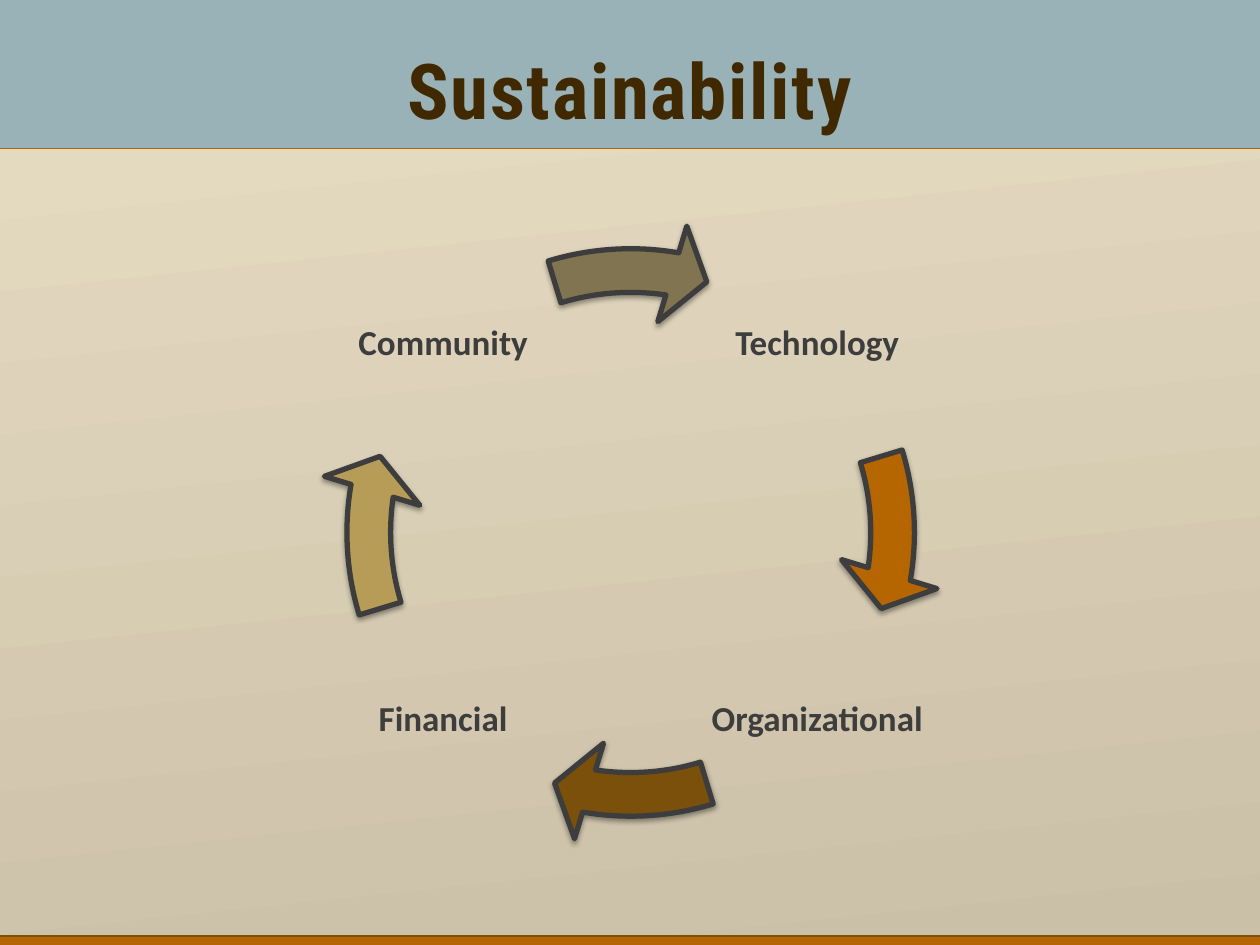
from lxml import etree
from pptx import Presentation
from pptx.dml.color import RGBColor
from pptx.enum.shapes import MSO_CONNECTOR as CONN, MSO_SHAPE as SHAPE
from pptx.enum.text import MSO_ANCHOR as ANCHOR, MSO_AUTO_SIZE as FIT, PP_ALIGN as ALIGN
from pptx.oxml.ns import qn
from pptx.util import Cm, Pt

BLUE = RGBColor(0x99, 0xB2, 0xB7)
CREAM = RGBColor(0xE4, 0xDA, 0xC0)
SAND = RGBColor(0xCA, 0xBF, 0xA7)
ORANGE = RGBColor(0xB6, 0x66, 0x00)
RULE = RGBColor(0xB2, 0x64, 0x00)
BROWN = RGBColor(0x7A, 0x50, 0x0A)
GOLD = RGBColor(0xB6, 0x9C, 0x56)
OLIVE = RGBColor(0x80, 0x75, 0x50)
DARK = RGBColor(0x3D, 0x3D, 0x3D)
TITLE = RGBColor(0x40, 0x29, 0x01)


def add_rule(s, y, color):
    ln = s.shapes.add_connector(CONN.STRAIGHT, 0, y, W, y)
    ln.line.color.rgb = color
    ln.line.width = Pt(0.75)
    etree.SubElement(ln._element.spPr, qn("a:effectLst"))


def add_text(tf, text, font, size, color):
    tf.word_wrap = True
    tf.auto_size = FIT.NONE
    tf.vertical_anchor = ANCHOR.MIDDLE
    p = tf.paragraphs[0]
    p.alignment = ALIGN.CENTER
    r = p.add_run()
    r.text = text
    r.font.name = font
    r.font.size = Pt(size)
    r.font.bold = True
    r.font.color.rgb = color
    return p, r


prs = Presentation()
prs.slide_width, prs.slide_height = W, H = Cm(25.4), Cm(19.05)
s = prs.slides.add_slide(prs.slide_layouts[5])
s.background.fill.solid()
s.background.fill.fore_color.rgb = BLUE

top, foot = Cm(3), Cm(18.87)
panel = s.shapes.add_shape(SHAPE.RECTANGLE, 0, top, W, H - top)
panel.shadow.inherit = False
panel.line.fill.background()
panel.fill.gradient()
panel.fill.gradient_angle = 276
for stop, color, pos in zip(panel.fill.gradient_stops, (CREAM, SAND), (0, 1)):
    stop.color.rgb = color
    stop.position = pos
add_rule(s, top, RULE)

bar = s.shapes.add_shape(SHAPE.RECTANGLE, 0, foot, W, H - foot)
bar.shadow.inherit = False
bar.fill.solid()
bar.fill.fore_color.rgb = ORANGE
bar.line.fill.background()
add_rule(s, foot, BROWN)

title = s.shapes.title
title.left, title.top, title.width, title.height = Cm(1.27), Cm(0.2), Cm(22.86), Cm(3.18)
p, r = add_text(title.text_frame, "Sustainability", "Roboto Condensed", 44, TITLE)
r.font._element.set("spc", "100")

left, right, upper, lower = Cm(6.71), Cm(14.25), Cm(4.72), Cm(12.29)
steps = [
    ("Technology", right, upper, ORANGE),
    ("Organizational", right, lower, BROWN),
    ("Financial", left, lower, GOLD),
    ("Community", left, upper, OLIVE),
]
QUARTER, FULL = 54, 216
for i, (name, x, y, color) in enumerate(steps):
    tb = s.shapes.add_textbox(x, y, Cm(4.45), Cm(4.45))
    tf = tb.text_frame
    tf.margin_left = tf.margin_right = tf.margin_top = tf.margin_bottom = Cm(0.08)
    p, r = add_text(tf, name, "Calibri", 20, DARK)
    p.line_spacing = 0.9

    sp = s.shapes.add_shape(SHAPE.CIRCULAR_ARROW, Cm(6.43), Cm(4.45), Cm(12.57), Cm(12.57))
    turn = i * QUARTER
    values = (0.07, 4.65, 5.49 + turn, (205.86 + turn) % FULL, 0.08)
    for k, value in enumerate(values):
        sp.adjustments[k] = value
    sp.fill.solid()
    sp.fill.fore_color.rgb = color
    sp.line.color.rgb = DARK
    sp.line.width = Pt(3)
    sp.shadow.inherit = False
    effects = sp._element.spPr.find(qn("a:effectLst"))
    shadow = etree.SubElement(effects, qn("a:outerShdw"), blurRad=str(Pt(3.1)),
                              dist=str(Pt(1.6)), dir="5400000", rotWithShape="0")
    black = etree.SubElement(shadow, qn("a:srgbClr"), val="000000")
    etree.SubElement(black, qn("a:alpha"), val="38000")

prs.save("out.pptx")
